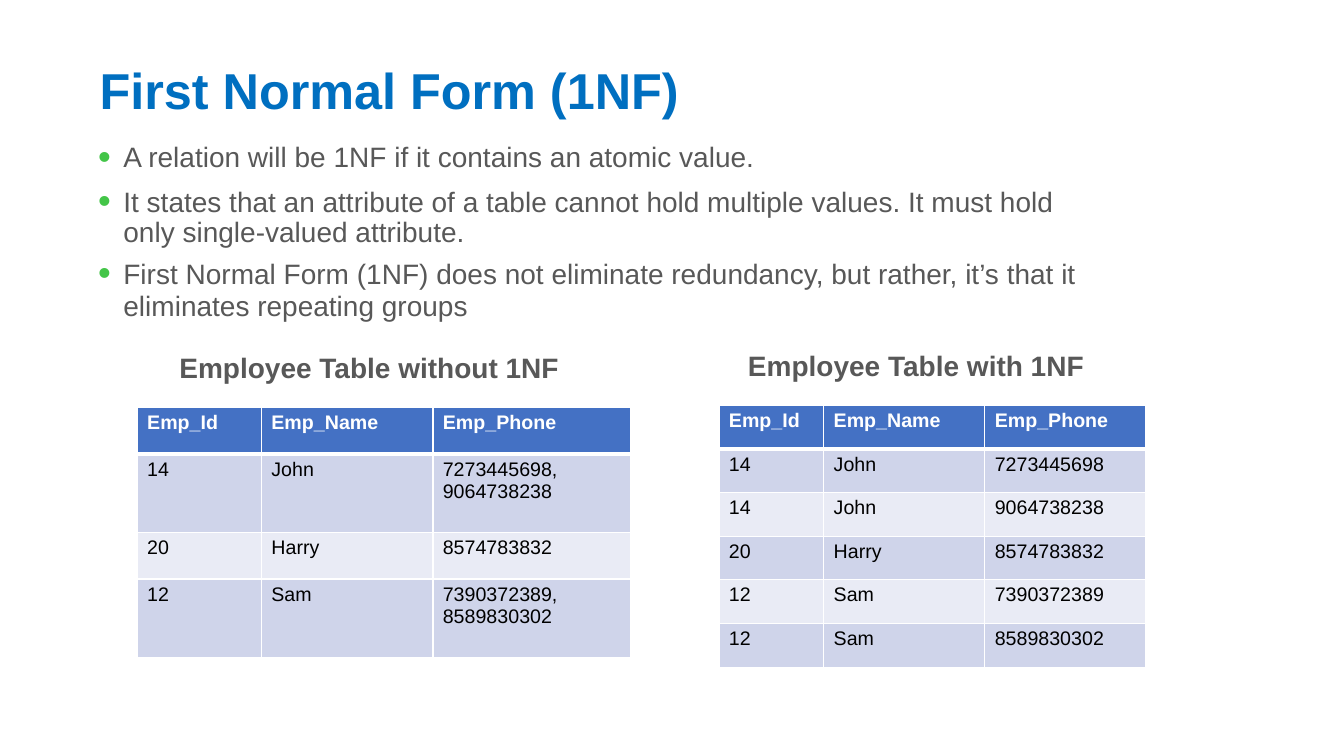
"""Build a slide on the first normal form with a list and two employee tables."""
from dataclasses import dataclass

from lxml import etree
from pptx import Presentation
from pptx.dml.color import RGBColor
from pptx.enum.text import MSO_ANCHOR, MSO_AUTO_SIZE, PP_ALIGN
from pptx.oxml.ns import qn
from pptx.util import Cm, Pt


@dataclass(frozen=True)
class Theme:
    font: str = "Arial"
    title: str = "006FC0"
    body: str = "585858"
    bullet: str = "43C548"
    header: str = "4471C4"
    header_text: str = "FFFFFF"
    cell_text: str = "000000"
    border: str = "FFFFFF"
    bands: tuple = ("CFD4EA", "E9EBF5")
    title_size: int = 36
    body_size: int = 20
    cell_size: int = 14


def write(p, text, font, size, color, bold=False, before=0, leading=None):
    p.alignment = PP_ALIGN.LEFT
    p.space_before = Pt(before)
    if leading:
        p.line_spacing = Pt(leading)
    r = p.add_run()
    r.text = text
    r.font.name = font
    r.font.size = Pt(size)
    r.font.bold = bold
    r.font.color.rgb = RGBColor.from_string(color)


def add_bullet(p, color):
    pPr = p._p.get_or_add_pPr()
    pPr.set("marL", str(Cm(0.65)))
    pPr.set("indent", str(-Cm(0.64)))
    clr = etree.SubElement(pPr, qn("a:buClr"))
    etree.SubElement(clr, qn("a:srgbClr"), val=color)
    etree.SubElement(pPr, qn("a:buSzPct"), val="130000")
    etree.SubElement(pPr, qn("a:buFont"), typeface="Arial")
    etree.SubElement(pPr, qn("a:buChar"), char="•")


def add_borders(cell, color, top, bottom):
    tcPr = cell._tc.get_or_add_tcPr()
    for side, width in (("L", 1), ("R", 1), ("T", top), ("B", bottom)):
        ln = etree.SubElement(tcPr, qn(f"a:ln{side}"), w=str(Pt(width)))
        fill = etree.SubElement(ln, qn("a:solidFill"))
        etree.SubElement(fill, qn("a:srgbClr"), val=color)


class SlideBuilder:
    def __init__(self, prs, theme):
        self.theme = theme
        self.s = prs.slides.add_slide(prs.slide_layouts[1])

    def frame(self, sp, x, y, w, h, anchor=MSO_ANCHOR.TOP):
        sp.left, sp.top, sp.width, sp.height = Cm(x), Cm(y), Cm(w), Cm(h)
        tf = sp.text_frame
        tf.word_wrap = True
        tf.auto_size = MSO_AUTO_SIZE.NONE
        tf.vertical_anchor = anchor
        tf.margin_left = tf.margin_right = tf.margin_bottom = 0
        tf.margin_top = Cm(0.07)
        return tf

    def title(self, text, x, y, w, h):
        t = self.theme
        tf = self.frame(self.s.shapes.title, x, y, w, h, MSO_ANCHOR.BOTTOM)
        write(tf.paragraphs[0], text, t.font, t.title_size, t.title, bold=True)

    def bullets(self, items, x, y, w, h):
        t = self.theme
        tf = self.frame(self.s.placeholders[1], x, y, w, h)
        for i, (text, before, leading) in enumerate(items):
            p = tf.add_paragraph() if i else tf.paragraphs[0]
            add_bullet(p, t.bullet)
            write(p, text, t.font, t.body_size, t.body,
                  before=before, leading=leading)

    def caption(self, text, x, y, w, h):
        t = self.theme
        sp = self.s.shapes.add_textbox(0, 0, Cm(w), Cm(h))
        tf = self.frame(sp, x, y, w, h)
        write(tf.paragraphs[0], text, t.font, t.body_size, t.body, bold=True)

    def table(self, rows, x, y, widths, heights):
        gf = self.s.shapes.add_table(len(rows), len(widths), Cm(x), Cm(y),
                                     Cm(sum(widths)), Cm(sum(heights)))
        for col, width in zip(gf.table.columns, widths):
            col.width = Cm(width)
        for i, (values, height) in enumerate(zip(rows, heights)):
            gf.table.rows[i].height = Cm(height)
            for j, value in enumerate(values):
                self.cell(gf.table.cell(i, j), value, i)

    def cell(self, cell, value, row):
        t = self.theme
        is_header = row == 0
        add_borders(cell, t.border, top=3 if row == 1 else 1,
                    bottom=3 if is_header else 1)
        cell.fill.solid()
        cell.fill.fore_color.rgb = RGBColor.from_string(
            t.header if is_header else t.bands[(row - 1) % 2])
        cell.margin_left, cell.margin_top = Cm(0.25), Cm(0.11)
        cell.margin_right = cell.margin_bottom = 0
        tf = cell.text_frame
        for i, line in enumerate(value.split("\n")):
            p = tf.add_paragraph() if i else tf.paragraphs[0]
            write(p, line, t.font, t.cell_size,
                  t.header_text if is_header else t.cell_text, bold=is_header)


def main():
    prs = Presentation()
    prs.slide_width, prs.slide_height = Cm(33.87), Cm(19.05)
    slide = SlideBuilder(prs, Theme())
    slide.title("First Normal Form (1NF)", 2.51, 1.42, 29.8, 1.6)
    slide.bullets([
        ("A relation will be 1NF if it contains an atomic value.", 0, None),
        ("It states that an attribute of a table cannot hold multiple values. "
         "It must hold only single-valued attribute.", 10.2, 21.6),
        ("First Normal Form (1NF) does not eliminate redundancy, but rather, "
         "it’s that it eliminates repeating groups", 7.3, 22.8),
    ], 2.46, 3.45, 25.4, 4.67)

    header = ("Emp_Id", "Emp_Name", "Emp_Phone")
    employees = [
        ("14", "John", ("7273445698", "9064738238")),
        ("20", "Harry", ("8574783832",)),
        ("12", "Sam", ("7390372389", "8589830302")),
    ]
    grouped = [(id_, name, ",\n".join(phones)) for id_, name, phones in employees]
    atomic = [(id_, name, phone) for id_, name, phones in employees
              for phone in phones]

    slide.caption("Employee Table without 1NF", 4.52, 8.76, 10, 0.92)
    slide.table([header, *grouped], 3.46, 10.27,
                (3.13, 4.32, 4.97), (1.17, 1.98) * 2)
    slide.caption("Employee Table with 1NF", 18.85, 8.71, 9, 0.92)
    slide.table([header, *atomic], 18.12, 10.21,
                (2.64, 4.06, 4.06), (1.1,) * 6)
    prs.save("out.pptx")


if __name__ == "__main__":
    main()
